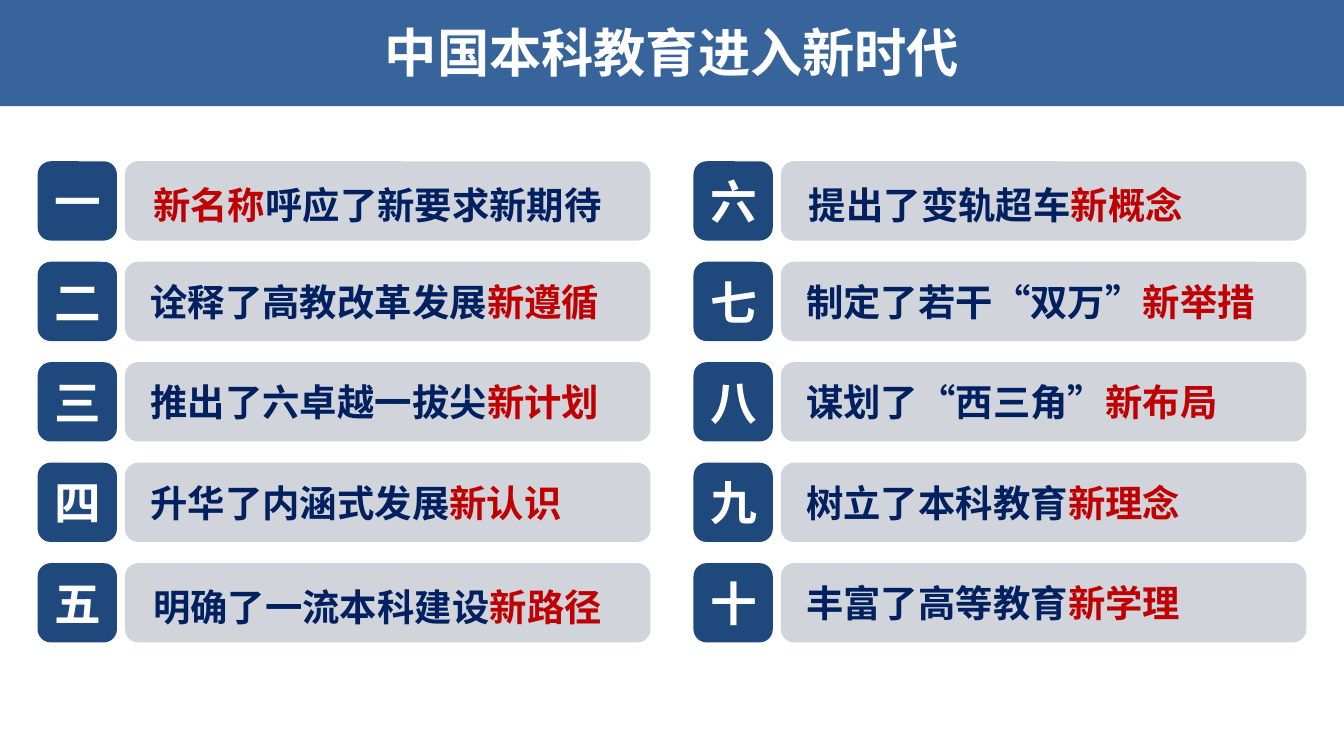
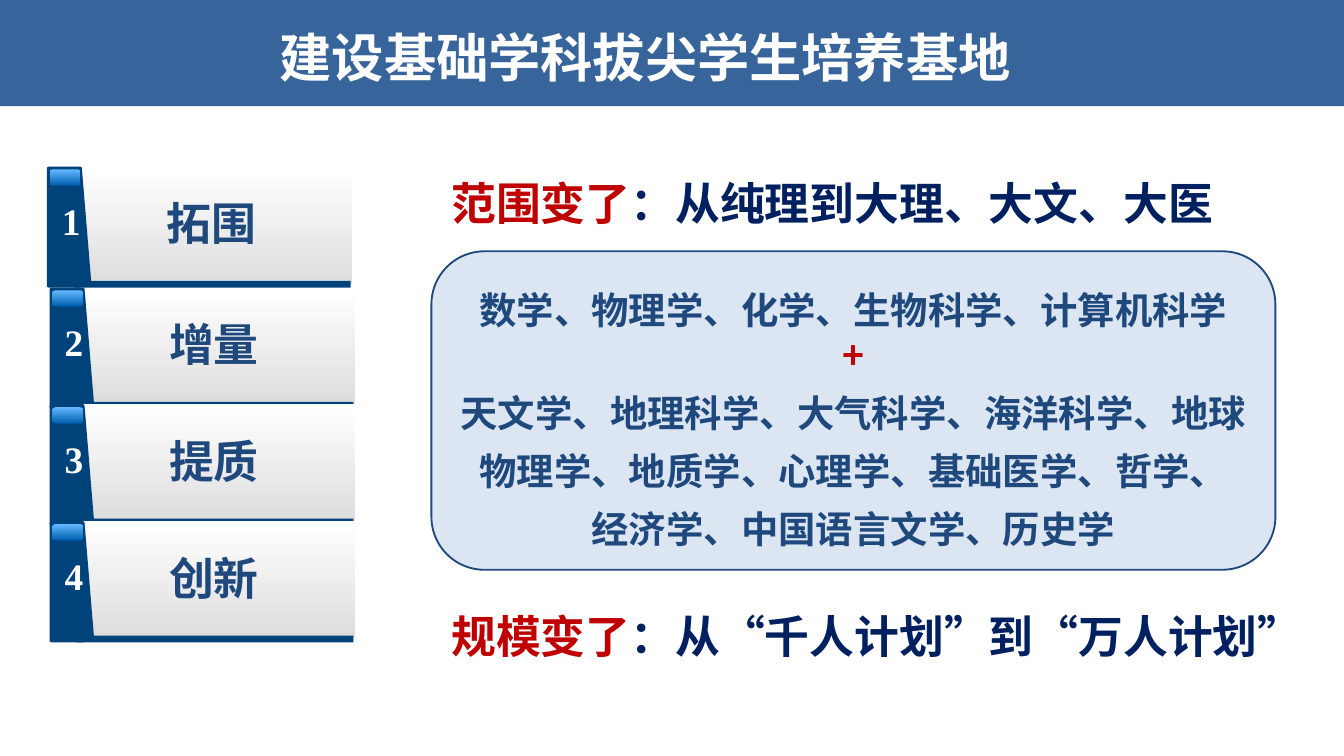
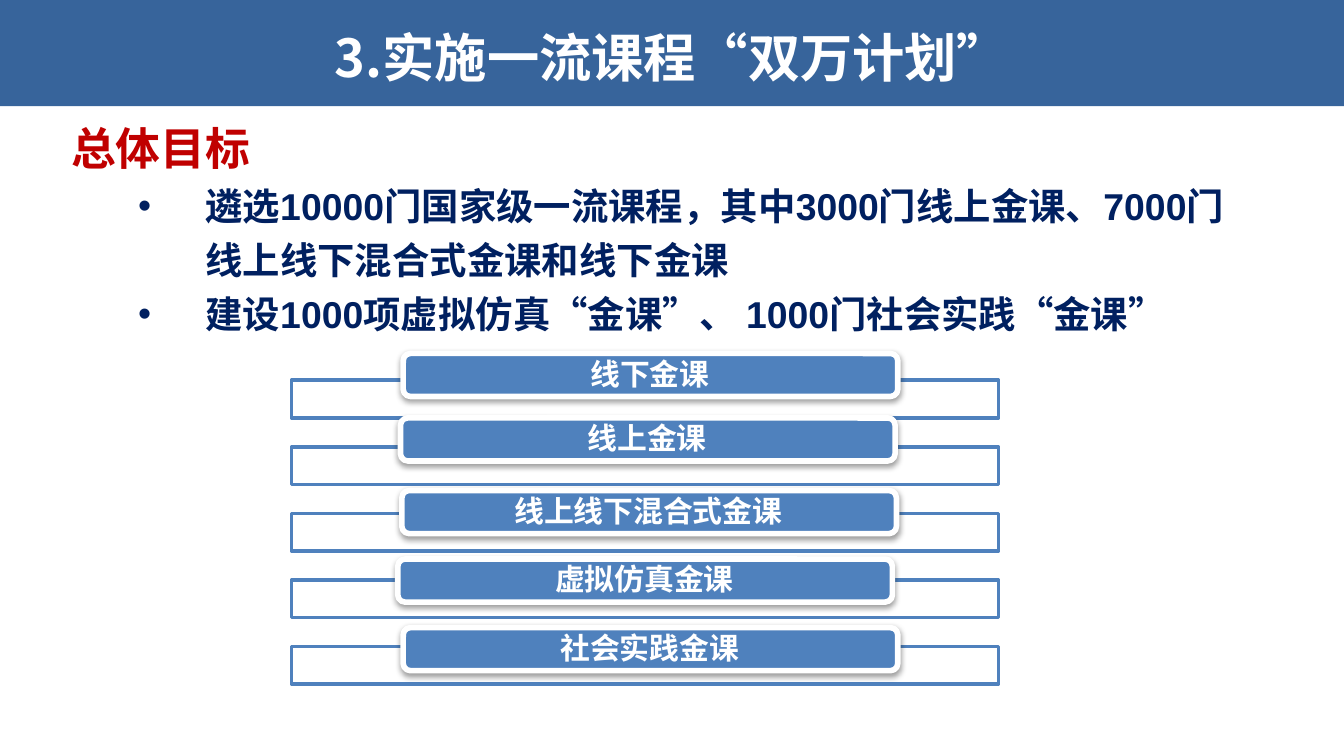
from lxml.etree import SubElement
from pptx import Presentation
from pptx.dml.color import RGBColor
from pptx.enum.shapes import MSO_SHAPE
from pptx.enum.text import MSO_ANCHOR, PP_ALIGN
from pptx.oxml.ns import qn
from pptx.util import Inches, Pt

HEX = {
    "band": "37649B", "navy": "1F497D", "ink": "002060", "red": "C00000",
    "white": "FFFFFF", "grey": "D1D4DB", "pale": "DCE6F2", "deep": "00437A",
    "silver": "DDDDDD", "sky": "65B9FF", "blue": "0060B0", "pill": "4F81BD",
    "black": "000000",
}
HAN = "Noto Sans CJK SC"
RECT = MSO_SHAPE.RECTANGLE
ROUND = MSO_SHAPE.ROUNDED_RECTANGLE
MID = MSO_ANCHOR.MIDDLE
CENTER = PP_ALIGN.CENTER


def tint(name):
    return RGBColor.from_string(HEX[name])


def bullet(para):
    props = para._p.get_or_add_pPr()
    props.set("marL", str(Inches(1)))
    props.set("indent", str(Inches(-0.5)))
    SubElement(props, qn("a:buFont"), typeface="Arial")
    SubElement(props, qn("a:buChar"), char="•")


def write(shape, *lines, size=20, color="navy", font=HAN, align=PP_ALIGN.LEFT,
          anchor=MSO_ANCHOR.TOP, inset=(0.1, 0.05, 0.1, 0.05), gap=1):
    frame = shape.text_frame
    frame.word_wrap = True
    frame.vertical_anchor = anchor
    left, top, right, bottom = map(Inches, inset)
    frame.margin_left, frame.margin_right = left, right
    frame.margin_top, frame.margin_bottom = top, bottom
    for spot, line in enumerate(lines):
        para = frame.add_paragraph() if spot else frame.paragraphs[0]
        para.alignment = align
        if isinstance(line, str):
            line = {"runs": [(line, color)]}
        elif isinstance(line, list):
            line = {"runs": line}
        para.line_spacing = line.get("gap", gap)
        if line.get("dot"):
            para.level = 1
            bullet(para)
        for words, hue in line["runs"]:
            run = para.add_run()
            run.text = words
            run.font.size = Pt(line.get("size", size))
            run.font.bold = True
            run.font.color.rgb = tint(hue)
            run.font.name = font
            SubElement(run._r.get_or_add_rPr(), qn("a:ea"), typeface=HAN)


def style(shape, fill, line=None, width=1):
    shape.shadow.inherit = False
    if isinstance(fill, tuple):
        shape.fill.gradient()
        shape.fill.gradient_angle = 270
        for stop, name in zip(shape.fill.gradient_stops, fill):
            stop.color.rgb = tint(name)
    else:
        shape.fill.solid()
        shape.fill.fore_color.rgb = tint(fill)
    if line:
        shape.line.color.rgb = tint(line)
        shape.line.width = Pt(width)
    else:
        shape.line.fill.background()


def block(tree, kind, x, y, w, h, fill, line=None, width=1, bend=None):
    shape = tree.add_shape(kind, Inches(x), Inches(y), Inches(w), Inches(h))
    style(shape, fill, line, width)
    if bend is not None:
        shape.adjustments[0] = bend
    return shape


def label(tree, x, y, w, h, *lines, **form):
    box = tree.add_textbox(Inches(x), Inches(y), Inches(w), Inches(h))
    write(box, *lines, **form)


def start(deck, title, x, w, h):
    tree = deck.slides.add_slide(deck.slide_layouts[6]).shapes
    block(tree, RECT, 0, 0, 10, 0.79, "band")
    label(tree, x, -0.01, w, h, title, size=28, color="white",
          align=CENTER, anchor=MID)
    return tree


def entry(tree, x, y, mark, runs, low):
    badge = block(tree, ROUND, x, y, 0.59, 0.59, "navy")
    write(badge, mark, size=25, color="white", align=CENTER, anchor=MID)
    bar = block(tree, ROUND, x + 0.65, y, 3.91, 0.59, "grey")
    inset = (0.18, 0.1, 0.1, 0.05) if low else (0.16, 0.05, 0.1, 0.05)
    write(bar, runs, anchor=MID, inset=inset)


def step(slide, x, y, mark, word):
    tree = slide.add_group_shape().shapes
    block(tree, ROUND, x + 0.25, y, 2.02, 0.87, ("white", "silver"), bend=0)
    block(tree, ROUND, x, y, 0.26, 0.9, "deep", bend=0.05)
    block(tree, RECT, x + 0.2, y + 0.85, 2.06, 0.05, "deep")
    edge = [(0.26, 0.02), (0.33, 0.87), (0.23, 0.86), (0.22, 0.28)]
    dots = [(Inches(x + dx), Inches(y + dy)) for dx, dy in edge]
    flap = tree.build_freeform(*dots[0])
    flap.add_line_segments(dots[1:], close=True)
    style(flap.convert_to_shape(), "deep")
    block(tree, ROUND, x + 0.02, y + 0.02, 0.23, 0.12, ("sky", "blue"), bend=0.2)
    label(tree, x + 0.1, y + 0.3, 0.16, 0.34, mark, color="white",
          font="Times New Roman", align=CENTER, inset=(0, 0, 0, 0), gap=0.8)
    label(tree, x + 0.79, y + 0.21, 1.18, 0.59, word, size=24, gap=0.9)


def shade(shape):
    effect = shape.element.spPr.find(qn("a:effectLst"))
    cast = SubElement(effect, qn("a:outerShdw"), blurRad=str(Pt(3.1)),
                      dist=str(Pt(1.6)), dir="5400000", rotWithShape="0")
    color = SubElement(cast, qn("a:srgbClr"), val=HEX["black"])
    SubElement(color, qn("a:alpha"), val="38000")


def course(slide, x, y, low, word):
    tree = slide.add_group_shape().shapes
    frame = block(tree, RECT, 2.17, low, 5.26, 0.28, "white", "pill", 2)
    color = frame.element.spPr.find(".//" + qn("a:srgbClr"))
    SubElement(color, qn("a:alpha"), val="90000")
    shade(block(tree, ROUND, x, y, 3.68, 0.32, "pill", "white", 3))
    label(tree, x + 0.01, y + 0.02, 3.65, 0.29, word, size=16, color="white",
          align=CENTER, anchor=MID, inset=(0.14, 0, 0.14, 0), gap=0.9)


def era(deck):
    tree = start(deck, "中国本科教育进入新时代", 1.25, 7.5, 0.78)
    items = [
        [("新名称", "red"), ("呼应了新要求新期待", "ink")],
        [("诠释了高教改革发展", "ink"), ("新遵循", "red")],
        [("推出了六卓越一拔尖", "ink"), ("新计划", "red")],
        [("升华了内涵式发展", "ink"), ("新认识", "red")],
        [("明确了一流本科建设", "ink"), ("新路径", "red")],
        [("提出了变轨超车", "ink"), ("新概念", "red")],
        [("制定了若干“双万”", "ink"), ("新举措", "red")],
        [("谋划了“西三角”", "ink"), ("新布局", "red")],
        [("树立了本科教育", "ink"), ("新理念", "red")],
        [("丰富了高等教育", "ink"), ("新学理", "red")],
    ]
    for spot, (mark, runs) in enumerate(zip("一二三四五六七八九十", items)):
        col, row = divmod(spot, 5)
        entry(tree, 0.28 + 4.88 * col, 1.2 + 2.99 * row / 4, mark, runs,
              mark in "一五六")


def base(deck):
    tree = start(deck, "建设基础学科拔尖学生培养基地", -0.2, 10, 0.87)
    panel = block(tree, ROUND, 3.21, 1.87, 6.28, 2.37, "pale", "navy")
    write(panel,
          "数学、物理学、化学、生物科学、计算机科学",
          {"runs": [("+", "red")], "gap": 1},
          "天文学、地理科学、大气科学、海洋科学、地球物理学、地质学、心理学、基础医学、哲学、",
          "经济学、中国语言文学、历史学",
          align=CENTER, gap=1.3)
    step(tree, 0.35, 1.24, "1", "拓围")
    for spot, word in enumerate(["增量", "提质", "创新"]):
        step(tree, 0.37, 2.14 + 0.87 * spot, str(spot + 2), word)
    for y, head, rest in [(1.14, "范围变了", "：从纯理到大理、大文、大医"),
                          (4.36, "规模变了", "：从“千人计划”到“万人计划”")]:
        label(tree, 3.26, y, 7.15, 0.57, [(head, "red"), (rest, "ink")],
              size=24, gap=1.3)


def plan(deck):
    tree = start(deck, "3.实施一流课程“双万计划”", 0, 10, 0.87)
    pills = [(3, 2.63, "线下金课"), (2.98, 3.11, "线上金课"),
             (2.99, 3.65, "线上线下混合式金课"), (2.96, 4.16, "虚拟仿真金课"),
             (3, 4.67, "社会实践金课")]
    for spot, (x, y, word) in enumerate(pills):
        course(tree, x, y, 2.83 + 1.98 * spot / 4, word)
    goals = ["遴选10000门国家级一流课程，其中3000门线上金课、7000门线上线下混合式金课和线下金课",
             "建设1000项虚拟仿真“金课”、 1000门社会实践“金课”"]
    label(tree, 0.43, 0.77, 8.82, 1.8,
          {"runs": [("总体目标", "red")], "size": 24},
          *[{"runs": [(goal, "ink")], "dot": True} for goal in goals],
          font="Arial", gap=1.2)


def main():
    deck = Presentation()
    deck.slide_width = Inches(10)
    deck.slide_height = Inches(10 * 9 / 16)
    era(deck)
    base(deck)
    plan(deck)
    deck.save("out.pptx")


if __name__ == "__main__":
    main()
